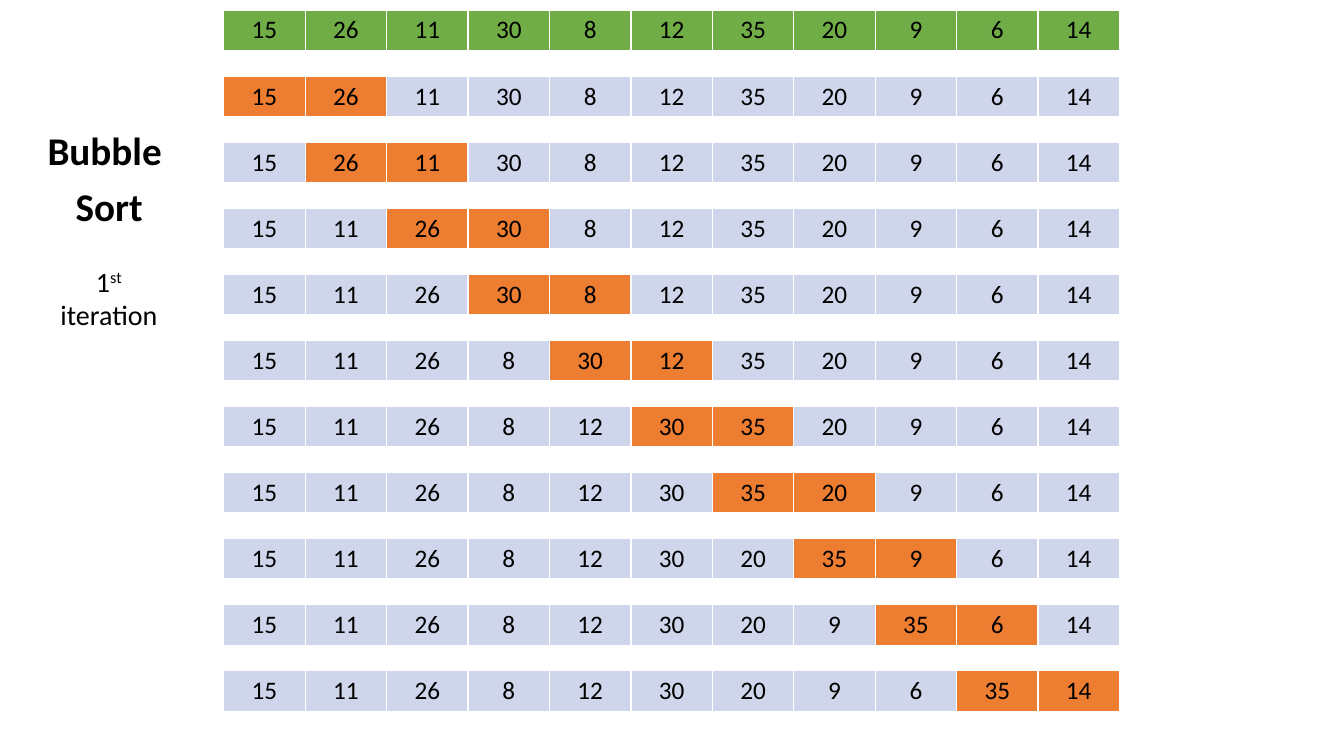
from dataclasses import dataclass
from typing import Iterator

from lxml import etree
from pptx import Presentation
from pptx.dml.color import RGBColor
from pptx.enum import text
from pptx.oxml import ns
from pptx.util import Cm, Pt


@dataclass(frozen=True)
class Theme:
    font: str = "Calibri"
    ink: str = "000000"
    border: str = "FFFFFF"
    start: str = "70AD47"
    compared: str = "ED7D31"
    resting: str = "CFD5EA"
    title_size: int = 28
    label_size: int = 20
    value_size: int = 18
    border_width: int = 1


@dataclass(frozen=True)
class ArrayRow:
    values: list[int]
    fills: list[str]


THEME = Theme()
NUMBERS = [15, 26, 11, 30, 8, 12, 35, 20, 9, 6, 14]
ROW_LEFT, ROW_WIDTH, ROW_HEIGHT = 5.64, 22.58, 1.03
FIRST_TOP, LAST_TOP = 0.25, 16.89


def first_pass(numbers: list[int]) -> Iterator[ArrayRow]:
    """Yield the starting array, then the array at each comparison of pass one."""
    values = list(numbers)
    yield ArrayRow(list(values), [THEME.start] * len(values))
    for i in range(len(values) - 1):
        fills = [THEME.compared if j in (i, i + 1) else THEME.resting
                 for j in range(len(values))]
        yield ArrayRow(list(values), fills)
        if values[i] > values[i + 1]:
            values[i], values[i + 1] = values[i + 1], values[i]


def format_paragraph(p, size: int, bold: bool = False) -> None:
    p.alignment = text.PP_ALIGN.CENTER
    for r in p.runs:
        r.font.name = THEME.font
        r.font.size = Pt(size)
        r.font.bold = bold
        r.font.color.rgb = RGBColor.from_string(THEME.ink)


def add_borders(cell) -> None:
    tc_pr = cell._tc.get_or_add_tcPr()
    for side in ("L", "R", "T", "B"):
        ln = etree.SubElement(tc_pr, ns.qn(f"a:ln{side}"), w=str(Pt(THEME.border_width)))
        fill = etree.SubElement(ln, ns.qn("a:solidFill"))
        etree.SubElement(fill, ns.qn("a:srgbClr"), val=THEME.border)


def add_array(slide, row: ArrayRow, top: float) -> None:
    count = len(row.values)
    table = slide.shapes.add_table(1, count, Cm(ROW_LEFT), Cm(top),
                                   Cm(ROW_WIDTH), Cm(ROW_HEIGHT)).table
    table.first_row = table.horz_banding = False
    for cell, value, color in zip(table.iter_cells(), row.values, row.fills):
        cell.text_frame.text = str(value)
        format_paragraph(cell.text_frame.paragraphs[0], THEME.value_size)
        add_borders(cell)
        cell.fill.solid()
        cell.fill.fore_color.rgb = RGBColor.from_string(color)


def add_title(slide) -> None:
    sp = slide.shapes.title
    sp.left, sp.top, sp.width, sp.height = Cm(0.25), Cm(3.18), Cm(5), Cm(1.68)
    tf = sp.text_frame
    tf.text = "Bubble \nSort"
    tf.word_wrap = True
    tf.auto_size = text.MSO_AUTO_SIZE.NONE
    tf.vertical_anchor = text.MSO_ANCHOR.TOP
    for i, p in enumerate(tf.paragraphs):
        format_paragraph(p, THEME.title_size, bold=True)
        p.line_spacing = 0.9
        p.space_before = Pt(10 if i else 0)


def add_iteration_label(slide) -> None:
    tf = slide.shapes.add_textbox(Cm(0.56), Cm(6.53), Cm(4.37), Cm(1.96)).text_frame
    tf.text = "1\niteration"
    tf.word_wrap = True
    tf.auto_size = text.MSO_AUTO_SIZE.SHAPE_TO_FIT_TEXT
    suffix = tf.paragraphs[0].add_run()
    suffix.text = "st"
    suffix._r.get_or_add_rPr().set("baseline", "30000")
    for p in tf.paragraphs:
        format_paragraph(p, THEME.label_size)


def main() -> None:
    prs = Presentation()
    prs.slide_width, prs.slide_height = Cm(33.87), Cm(19.05)
    slide = prs.slides.add_slide(prs.slide_layouts.get_by_name("Title Only"))
    add_title(slide)
    rows = list(first_pass(NUMBERS))
    pitch = (LAST_TOP - FIRST_TOP) / (len(rows) - 1)
    for i, row in enumerate(rows):
        add_array(slide, row, FIRST_TOP + i * pitch)
    add_iteration_label(slide)
    prs.save("out.pptx")


if __name__ == "__main__":
    main()
